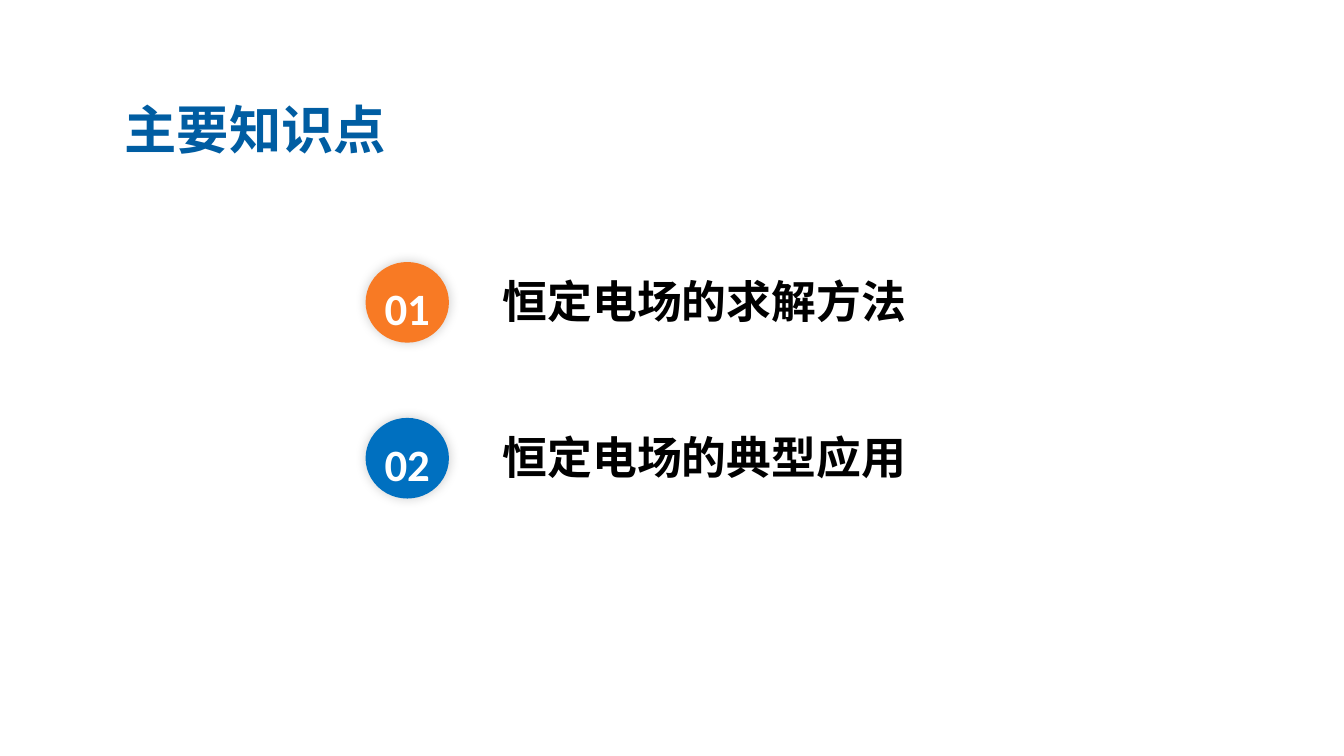
from dataclasses import dataclass

import pptx
import pptx.dml.color
import pptx.enum.shapes
import pptx.enum.text
import pptx.oxml
import pptx.oxml.ns
import pptx.util
from pptx.util import Inches

ALIGN = pptx.enum.text.PP_ALIGN
ANCHOR = pptx.enum.text.MSO_ANCHOR


@dataclass(frozen=True)
class Theme:
    title_font: str = "Times New Roman"
    body_font: str = "Calibri"
    title_size: int = 28
    body_size: int = 24
    title: str = "005DA2"
    body: str = "000000"
    number: str = "FFFFFF"
    orange: str = "F87A24"
    blue: str = "0070C0"


@dataclass(frozen=True)
class Topic:
    number: str
    label: str
    fill: str


THEME = Theme()
TOPICS = [
    Topic("01", "恒定电场的求解方法", THEME.orange),
    Topic("02", "恒定电场的典型应用", THEME.blue),
]
FIRST_TOP, PITCH = 1.95, 1.16


def rgb(color: str) -> pptx.dml.color.RGBColor:
    return pptx.dml.color.RGBColor.from_string(color)


def write(s, text: str, font: str, size: int, color: str,
          align=ALIGN.LEFT, anchor=ANCHOR.MIDDLE, inset: float = 0) -> None:
    """Put one bold line of text into a shape."""
    tf = s.text_frame
    tf.word_wrap = True
    tf.vertical_anchor = anchor
    tf.margin_left = tf.margin_right = Inches(inset)
    tf.margin_top = tf.margin_bottom = Inches(inset / 2)
    p = tf.paragraphs[0]
    p.alignment = align
    r = p.add_run()
    r.text = text
    r.font.name = font
    r.font.size = pptx.util.Pt(size)
    r.font.bold = True
    r.font.color.rgb = rgb(color)


def add_glow_shadow(s) -> None:
    """Give a shape a soft shadow on all sides."""
    s.shadow.inherit = False
    effects = s._element.spPr.find(pptx.oxml.ns.qn("a:effectLst"))
    effects.append(pptx.oxml.parse_xml(
        f'<a:outerShdw {pptx.oxml.ns.nsdecls("a")} blurRad="{pptx.util.Pt(6)}" '
        'dist="0" dir="18900000" algn="ctr" rotWithShape="0">'
        '<a:srgbClr val="000000"><a:alpha val="20000"/></a:srgbClr></a:outerShdw>'))


def draw_topic(slide, topic: Topic, top: float) -> None:
    # Numbered disc
    s = slide.shapes.add_shape(pptx.enum.shapes.MSO_SHAPE.OVAL, Inches(2.72),
                               Inches(top), Inches(0.62), Inches(0.6))
    s.fill.solid()
    s.fill.fore_color.rgb = rgb(topic.fill)
    s.line.fill.background()
    add_glow_shadow(s)
    write(s, topic.number, THEME.body_font, THEME.body_size, THEME.number, ALIGN.CENTER)
    s.text_frame.paragraphs[0].line_spacing = 1.2

    # Label
    s = slide.shapes.add_textbox(Inches(3.74), Inches(top + 0.09), Inches(3.22), Inches(0.4))
    write(s, topic.label, THEME.body_font, THEME.body_size, THEME.body,
          ALIGN.JUSTIFY, ANCHOR.TOP)
    s.text_frame.auto_size = pptx.enum.text.MSO_AUTO_SIZE.SHAPE_TO_FIT_TEXT


def main() -> None:
    # Widescreen 16:9 slide
    prs = pptx.Presentation()
    prs.slide_width = Inches(10)
    prs.slide_height = prs.slide_width * 9 // 16
    slide = prs.slides.add_slide(prs.slide_layouts[6])

    # Title
    s = slide.shapes.add_textbox(Inches(0.83), Inches(0.69), Inches(7.09), Inches(0.54))
    write(s, "主要知识点", THEME.title_font, THEME.title_size, THEME.title, inset=0.1)

    # Topics
    for i, topic in enumerate(TOPICS):
        draw_topic(slide, topic, FIRST_TOP + i * PITCH)

    prs.save("out.pptx")


if __name__ == "__main__":
    main()
